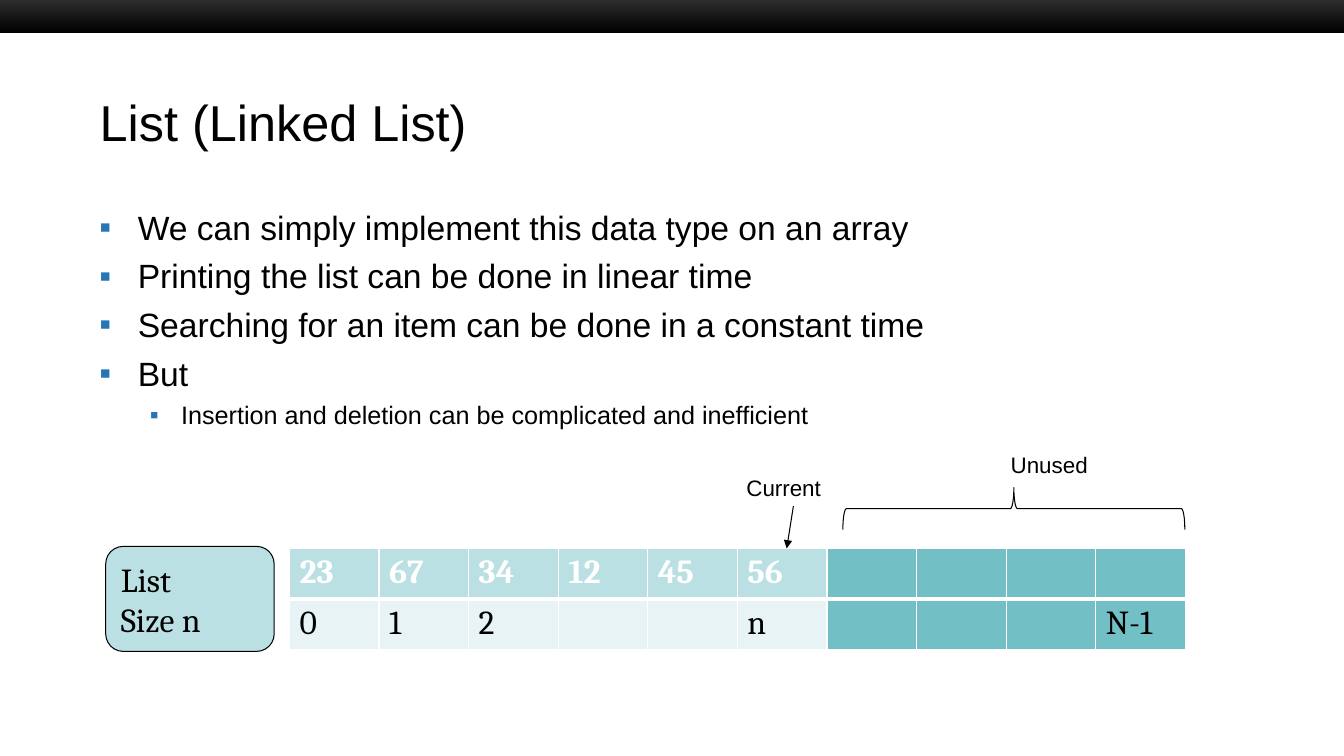
"""Build a slide about lists stored in an array."""
from lxml import etree
from pptx import Presentation
from pptx import util as u
from pptx.dml.color import RGBColor
from pptx.enum import shapes, text
from pptx.oxml import ns

WIDTH, HEIGHT = u.Inches(13.33), u.Inches(7.5)
COLUMN, ROW = WIDTH / 15, HEIGHT / 18
COLORS = {
    "ink": "000000", "paper": "FFFFFF", "bar": "333333", "bullet": "2675B4",
    "used": "BBE0E3", "index": "E7F3F4", "unused": "72BFC5",
}
HEADING = {"name": "Arial", "size": u.Pt(36)}
BODY = {"name": "Arial", "size": u.Pt(24)}
DETAIL = {"name": "Arial", "size": u.Pt(18)}
LABEL = {"name": "Arial", "size": u.Pt(16)}
ENTRY = {"name": "Cambria", "size": u.Pt(24), "bold": False}
VALUE = {**ENTRY, "bold": True}
LEFT_MIDDLE = {"word_wrap": True, "vertical_anchor": text.MSO_ANCHOR.MIDDLE}
BULLETS = [
    ("We can simply implement this data type on an array", 0),
    ("Printing the list can be done in linear time", 0),
    ("Searching for an item can be done in a constant time", 0),
    ("But", 0),
    ("Insertion and deletion can be complicated and inefficient", 1),
]
LEVELS = [(BODY, 0.38, 0.38, 6), (DETAIL, 0.81, 0.31, 4.5)]
VALUES = ["23", "67", "34", "12", "45", "56", "", "", "", ""]
INDEXES = ["0", "1", "2", "", "", "n", "", "", "", "N-1"]
USED_COUNT = 6


def color(name):
    """Return a named colour."""
    return RGBColor.from_string(COLORS[name])


def grid(left, top, width, height):
    """Turn columns and rows into slide lengths."""
    return int(left * COLUMN), int(top * ROW), int(width * COLUMN), int(height * ROW)


def apply(target, values):
    """Set each attribute of a target."""
    for name, value in values.items():
        setattr(target, name, value)


def write(paragraph, words, font, ink="ink"):
    """Write one left-aligned run into a paragraph."""
    paragraph.alignment = text.PP_ALIGN.LEFT
    run = paragraph.add_run()
    run.text = words
    apply(run.font, font)
    run.font.color.rgb = color(ink)


def add_element(parent, tag, **attributes):
    """Append a drawing element."""
    return etree.SubElement(parent, ns.qn(tag), attributes)


def add_title(slide, words):
    """Place and fill the title placeholder."""
    title = slide.shapes.title
    apply(title, dict(zip(("left", "top", "width", "height"), grid(1, 2, 13, 1.8))))
    apply(title.text_frame, LEFT_MIDDLE)
    write(title.text_frame.paragraphs[0], words, HEADING)


def add_bar(slide):
    """Add the dark gradient band at the top."""
    bar = add_box(slide, shapes.MSO_SHAPE.RECTANGLE, grid(0, -0.12, 15, 0.91), "bar")
    bar.line.fill.background()
    bar.fill.gradient()
    bar.fill.gradient_angle = 270
    for stop, name in zip(bar.fill.gradient_stops, ("bar", "ink")):
        stop.color.rgb = color(name)


def add_box(slide, kind, place, fill):
    """Add a filled preset shape with a thin dark outline."""
    shape = slide.shapes.add_shape(kind, *place)
    shape.shadow.inherit = False
    shape.fill.solid()
    shape.fill.fore_color.rgb = color(fill)
    shape.line.color.rgb = color("ink")
    shape.line.width = u.Pt(0.75)
    return shape


def add_bullets(slide):
    """Add the two-level bullet list."""
    frame = slide.shapes.add_textbox(*grid(1, 4.8, 13, 10.2)).text_frame
    frame.word_wrap = True
    for number, (words, level) in enumerate(BULLETS):
        paragraph = frame.add_paragraph() if number else frame.paragraphs[0]
        font, margin, hang, space = LEVELS[level]
        write(paragraph, words, font)
        apply(paragraph, {"level": level, "space_before": u.Pt(space)})
        properties = paragraph._p.get_or_add_pPr()
        properties.set("marL", str(u.Inches(margin)))
        properties.set("indent", str(-u.Inches(hang)))
        tint = add_element(properties, "a:buClr")
        add_element(tint, "a:srgbClr", val=COLORS["bullet"])
        add_element(properties, "a:buFont", typeface="Arial")
        add_element(properties, "a:buChar", char="▪")


def add_borders(cell, widths):
    """Draw white borders on a cell, keyed by side."""
    properties = cell._tc.get_or_add_tcPr()
    for side, points in widths.items():
        line = add_element(properties, f"a:ln{side}", w=str(u.Pt(points)))
        fill = add_element(line, "a:solidFill")
        add_element(fill, "a:srgbClr", val=COLORS["paper"])


def add_array(slide):
    """Add the array table of values and indexes."""
    table = slide.shapes.add_table(2, len(VALUES), *grid(3.23, 13.06, 10, 1.95)).table
    table.horz_banding = False
    rows = [
        (VALUES, VALUE, "paper", "used", {"L": 1, "R": 1, "T": 1, "B": 3}),
        (INDEXES, ENTRY, "ink", "index", {"L": 1, "R": 1, "T": 3, "B": 1}),
    ]
    for row, (entries, font, ink, fill, widths) in enumerate(rows):
        for column, words in enumerate(entries):
            cell = table.cell(row, column)
            add_borders(cell, widths)
            cell.fill.solid()
            cell.fill.fore_color.rgb = color(fill if column < USED_COUNT else "unused")
            if words:
                write(cell.text_frame.paragraphs[0], words, font, ink)


def add_label(slide, words, place):
    """Add a small text label."""
    label = slide.shapes.add_textbox(*place)
    apply(label.text_frame, {"word_wrap": True,
                             "auto_size": text.MSO_AUTO_SIZE.SHAPE_TO_FIT_TEXT})
    write(label.text_frame.paragraphs[0], words, LABEL)
    return label


def add_arrow(slide, label, column, row):
    """Draw an arrow from the bottom of a label to a grid point."""
    end = grid(column, row, 0, 0)[:2]
    arrow = slide.shapes.add_connector(shapes.MSO_CONNECTOR.STRAIGHT, *end, *end)
    arrow.begin_connect(label, 2)
    arrow.line.color.rgb = color("ink")
    arrow.line.width = u.Pt(0.75)
    add_element(arrow.line._get_or_add_ln(), "a:tailEnd", type="triangle")
    add_element(arrow._element.spPr, "a:effectLst")


def add_header_box(slide):
    """Add the rounded box that names the list and its size."""
    box = add_box(slide, shapes.MSO_SHAPE.ROUNDED_RECTANGLE,
                  grid(1.18, 13.01, 1.88, 2.5), "used")
    frame = box.text_frame
    apply(frame, LEFT_MIDDLE)
    write(frame.paragraphs[0], "List", ENTRY)
    write(frame.add_paragraph(), "Size n", ENTRY)


def main():
    """Build and save the slide."""
    presentation = Presentation()
    apply(presentation, {"slide_width": WIDTH, "slide_height": HEIGHT})
    slide = presentation.slides.add_slide(presentation.slide_layouts[5])
    add_bar(slide)
    add_title(slide, "List (Linked List)")
    add_bullets(slide)
    add_array(slide)
    current = add_label(slide, "Current", grid(8.22, 11.16, 1.27, 0.89))
    add_arrow(slide, current, 8.78, 13.06)
    brace = add_box(slide, shapes.MSO_SHAPE.LEFT_BRACE,
                    grid(11.08, 8.04, 0.47, 8.14), "paper")
    brace.rotation = 90
    add_label(slide, "Unused", grid(11.17, 10.63, 1.64, 0.89))
    add_header_box(slide)
    presentation.save("out.pptx")


if __name__ == "__main__":
    main()
